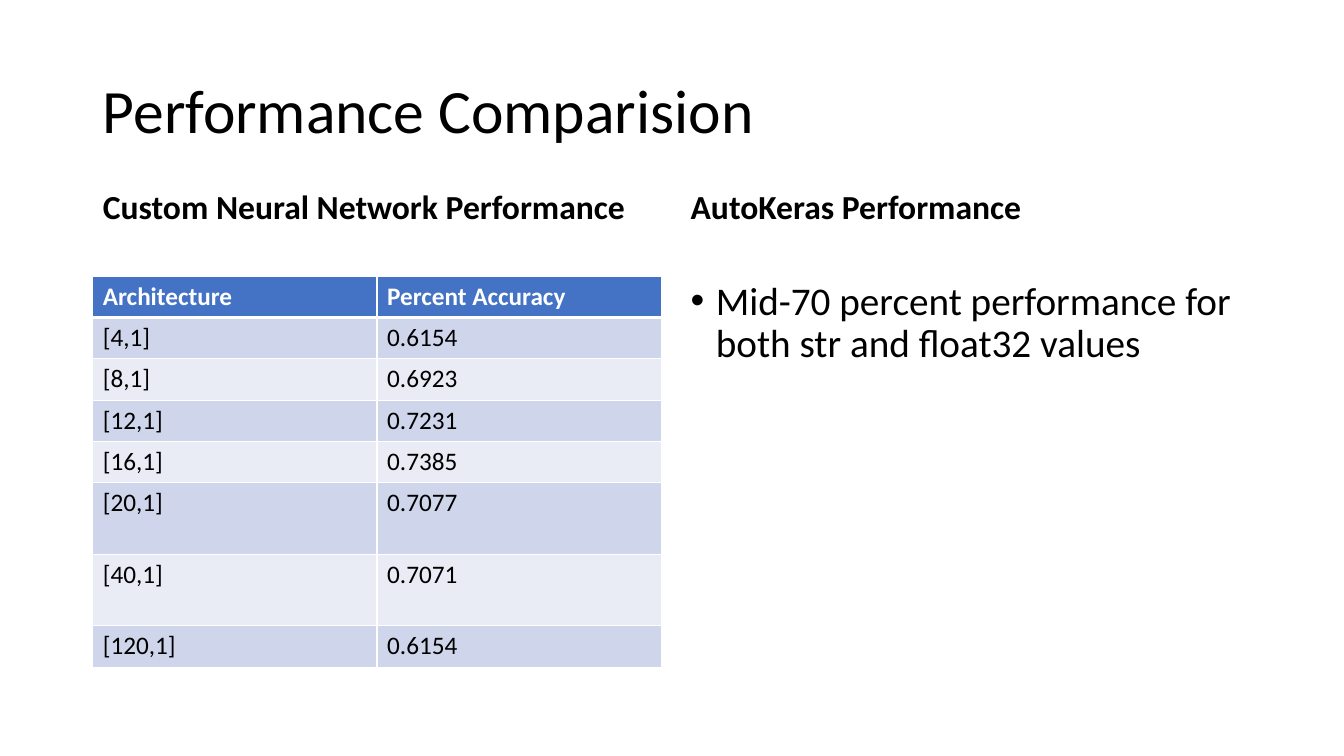
"""Build the slide comparing neural network performance."""
from lxml import etree
from pptx import Presentation
from pptx.dml.color import RGBColor
from pptx.enum.text import MSO_ANCHOR, MSO_AUTO_SIZE, PP_ALIGN
from pptx.oxml.ns import qn
from pptx.util import Inches, Pt

TOP, MIDDLE = MSO_ANCHOR.TOP, MSO_ANCHOR.MIDDLE
LEFT = PP_ALIGN.LEFT
FIXED = MSO_AUTO_SIZE.NONE

TITLE = "Performance Comparision"
HEADS = ["Custom Neural Network Performance", "AutoKeras Performance"]
POINT = "Mid-70 percent performance for both str and float32 values"
ROWS = [
    ("Architecture", "Percent Accuracy"),
    ("[4,1]", "0.6154"),
    ("[8,1]", "0.6923"),
    ("[12,1]", "0.7231"),
    ("[16,1]", "0.7385"),
    ("[20,1]", "0.7077"),
    ("[40,1]", "0.7071"),
    ("[120,1]", "0.6154"),
]
TALL = {"[20,1]", "[40,1]"}
COLORS = {
    "text": "000000",
    "white": "FFFFFF",
    "head": "4472C4",
    "odd": "CFD5EA",
    "even": "E9EBF5",
}
FONT = "Calibri"
COL_X = [0.92, 6.75]
COL_W = [5.64, 5.67]
HEAD_Y, HEAD_H = 1.84, 0.9
BODY_Y, BODY_H = HEAD_Y + HEAD_H, 4.03
ROW_H, TALL_H = 0.41, 0.71


def rgb(name):
    return RGBColor.from_string(COLORS[name])


def style(para, size, color="text", bold=False):
    font = para.font
    font.name, font.size, font.bold = FONT, Pt(size), bold
    font.color.rgb = rgb(color)


def fill_holder(shape, box, text, size, bold=False, anchor=TOP, before=10):
    shape.left, shape.top, shape.width, shape.height = map(Inches, box)
    frame = shape.text_frame
    frame.text = text
    frame.word_wrap = True
    frame.auto_size = FIXED
    frame.vertical_anchor = anchor
    para = frame.paragraphs[0]
    para.alignment = LEFT
    para.line_spacing = 0.9
    para.space_before = Pt(before)
    style(para, size, bold=bold)
    return para


def add_bullet(para):
    props = para._p.get_or_add_pPr()
    props.set("marL", str(Inches(0.25)))
    props.set("indent", str(-Inches(0.25)))
    etree.SubElement(props, qn("a:buFont")).set("typeface", "Arial")
    etree.SubElement(props, qn("a:buChar")).set("char", "•")
    props.append(props.find(qn("a:defRPr")))


def add_border(cell, side, width):
    props = cell._tc.get_or_add_tcPr()
    line = etree.SubElement(props, qn(f"a:ln{side}"), w=str(Pt(width)))
    solid = etree.SubElement(line, qn("a:solidFill"))
    etree.SubElement(solid, qn("a:srgbClr"), val=COLORS["white"])


def add_grid(slide):
    frame = slide.shapes.add_table(
        len(ROWS), len(ROWS[0]), Inches(COL_X[0]), Inches(BODY_Y),
        Inches(COL_W[0]), Inches(ROW_H * len(ROWS)))
    table = frame.table
    for r, row in enumerate(ROWS):
        table.rows[r].height = Inches(TALL_H if row[0] in TALL else ROW_H)
        head = r == 0
        shade = "head" if head else ("even", "odd")[r % 2]
        for c, text in enumerate(row):
            cell = table.cell(r, c)
            for side in "LRTB":
                thick = (head and side == "B") or (r == 1 and side == "T")
                add_border(cell, side, 3 if thick else 1)
            cell.fill.solid()
            cell.fill.fore_color.rgb = rgb(shade)
            cell.text = text
            style(cell.text_frame.paragraphs[0], 18,
                  "white" if head else "text", head)


def main():
    deck = Presentation()
    deck.slide_width, deck.slide_height = Inches(13.33), Inches(7.5)
    slide = deck.slides.add_slide(deck.slide_layouts[4])
    holders = {h.placeholder_format.idx: h for h in slide.placeholders}
    fill_holder(holders[0], (COL_X[0], 0.4, 11.5, 1.45), TITLE, 44,
                anchor=MIDDLE, before=0)
    for idx, text, x, wide in zip((1, 3), HEADS, COL_X, COL_W):
        fill_holder(holders[idx], (x, HEAD_Y, wide, HEAD_H), text, 24, True)
    spare = holders[2].element
    spare.getparent().remove(spare)
    add_grid(slide)
    point = fill_holder(holders[4], (COL_X[1], BODY_Y, COL_W[1], BODY_H),
                        POINT, 28)
    add_bullet(point)
    deck.save("out.pptx")


if __name__ == "__main__":
    main()
